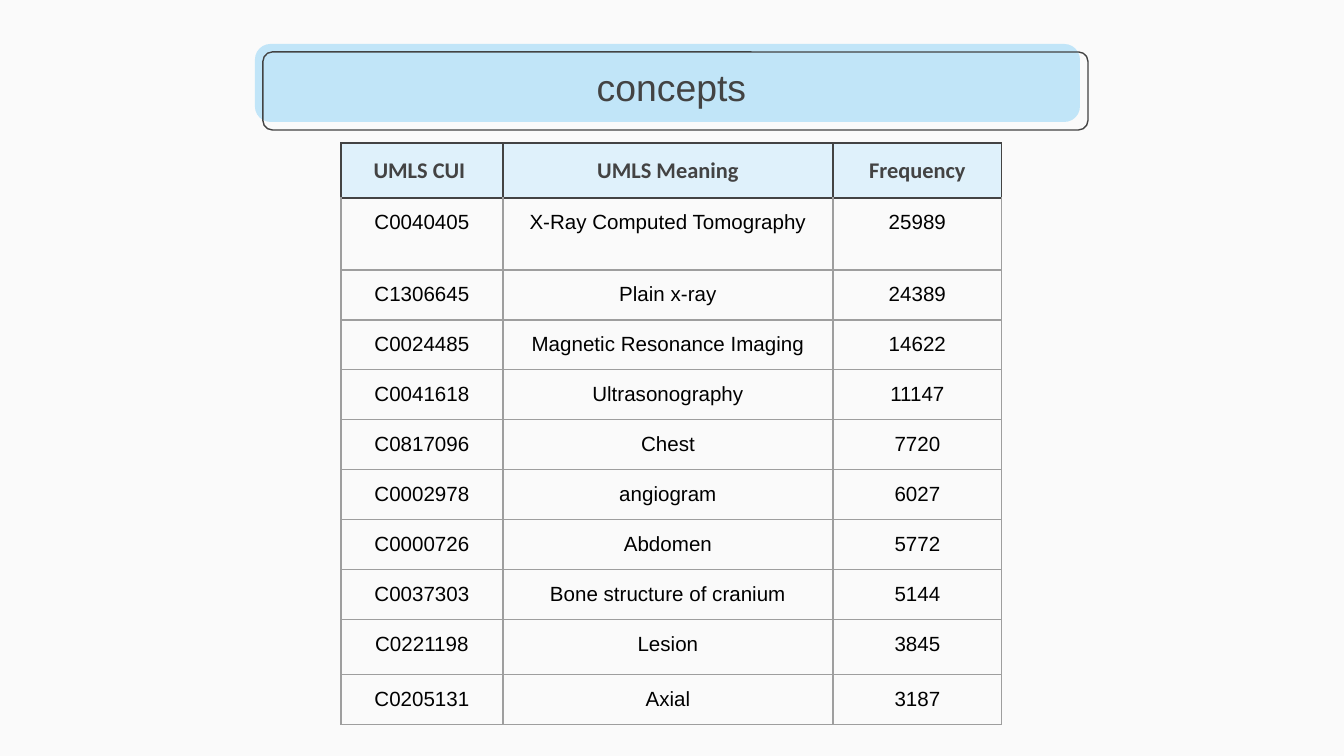
from dataclasses import dataclass

from lxml import etree
from pptx import Presentation
from pptx.dml.color import RGBColor
from pptx.enum.shapes import MSO_SHAPE
from pptx.enum.text import MSO_ANCHOR, MSO_AUTO_SIZE, PP_ALIGN
from pptx.oxml.ns import qn
from pptx.util import Emu, Pt

ROUNDED = MSO_SHAPE.ROUNDED_RECTANGLE
CENTER = PP_ALIGN.CENTER
MIDDLE, TOP = MSO_ANCHOR.MIDDLE, MSO_ANCHOR.TOP
NO_FIT = MSO_AUTO_SIZE.NONE
TITLE_ONLY = 5


@dataclass(frozen=True)
class Theme:
    page: str = "FAFAFA"
    band: str = "C1E5F8"
    header: str = "DFF1FB"
    dark: str = "434343"
    grid: str = "9E9E9E"
    body: str = "000000"
    font: str = "Arial"
    header_font: str = "Calibri"
    title_size: int = 20
    header_size: int = 12
    body_size: int = 11
    line: float = 0.75


THEME = Theme()
INSET = 13
HEADER_INSET = 7
COLUMNS = [162, 330, 169]
HEADER_HEIGHT, ROW_HEIGHT = 55, 50
TALL_ROWS = {1: 72, 9: 55}
CONCEPTS = [
    ("UMLS CUI ", "UMLS Meaning", "Frequency"),
    ("C0040405", "X-Ray Computed Tomography", "25989"),
    ("C1306645", "Plain x-ray", "24389"),
    ("C0024485", "Magnetic Resonance Imaging", "14622"),
    ("C0041618", "Ultrasonography", "11147"),
    ("C0817096", "Chest", "7720"),
    ("C0002978", "angiogram", "6027"),
    ("C0000726", "Abdomen", "5772"),
    ("C0037303", "Bone structure of cranium", "5144"),
    ("C0221198", "Lesion", "3845"),
    ("C0205131", "Axial", "3187"),
]


def px(count):
    return Emu(round(count * 914400 / 134.4))


def rgb(color):
    return RGBColor.from_string(color)


def set_text(frame, text, font, size, color, bold=False):
    para = frame.paragraphs[0]
    para.text = text
    para.alignment = CENTER
    for span in para.runs:
        span.font.name = font
        span.font.size = Pt(size)
        span.font.bold = bold
        span.font.color.rgb = rgb(color)


def set_insets(target, side, vertical=INSET):
    target.margin_left = target.margin_right = px(side)
    target.margin_top = target.margin_bottom = px(vertical)


def add_rounded_box(page, left, top, width, height, corner, fill=None, line=None):
    box = page.shapes.add_shape(ROUNDED, px(left), px(top), px(width), px(height))
    box.shadow.inherit = False
    box.adjustments[0] = corner
    if fill:
        box.fill.solid()
        box.fill.fore_color.rgb = rgb(fill)
    else:
        box.fill.background()
    if line:
        box.line.color.rgb = rgb(line)
        box.line.width = Pt(THEME.line)
    else:
        box.line.fill.background()


def place_title(page, text):
    """Fill the title placeholder and bring it in front of its boxes."""
    title = page.shapes.title
    title.left, title.top, title.width, title.height = px(263), px(48), px(817), px(78)
    frame = title.text_frame
    frame.auto_size = NO_FIT
    frame.word_wrap = True
    frame.vertical_anchor = MIDDLE
    set_insets(frame, INSET)
    set_text(frame, text, THEME.font, THEME.title_size, THEME.dark)
    title.element.getparent().append(title.element)


def set_borders(cell, top_color, color):
    properties = cell._tc.get_or_add_tcPr()
    for side in ("L", "R", "T", "B"):
        line = etree.SubElement(properties, qn(f"a:ln{side}"), w=str(Pt(THEME.line)))
        fill = etree.SubElement(line, qn("a:solidFill"))
        etree.SubElement(fill, qn("a:srgbClr"), val=top_color if side == "T" else color)


def format_header(cell, text):
    set_borders(cell, THEME.dark, THEME.dark)
    cell.fill.solid()
    cell.fill.fore_color.rgb = rgb(THEME.header)
    cell.vertical_anchor = MIDDLE
    set_insets(cell, HEADER_INSET)
    set_text(cell.text_frame, text, THEME.header_font, THEME.header_size, THEME.dark, True)


def format_body(cell, text, under_header):
    set_borders(cell, THEME.dark if under_header else THEME.grid, THEME.grid)
    cell.fill.background()
    cell.vertical_anchor = TOP
    set_insets(cell, INSET)
    set_text(cell.text_frame, text, THEME.font, THEME.body_size, THEME.body)


def add_concept_table(page, left, top):
    heights = [TALL_ROWS.get(row, ROW_HEIGHT) for row in range(len(CONCEPTS))]
    heights[0] = HEADER_HEIGHT
    table = page.shapes.add_table(
        len(CONCEPTS), len(COLUMNS), px(left), px(top), px(sum(COLUMNS)), px(sum(heights))
    ).table
    table.horz_banding = False
    for column, width in zip(table.columns, COLUMNS):
        column.width = px(width)
    for index, (row, height) in enumerate(zip(table.rows, heights)):
        row.height = px(height)
        for cell, text in zip(row.cells, CONCEPTS[index]):
            if index == 0:
                format_header(cell, text)
            else:
                format_body(cell, text, index == 1)


def main():
    deck = Presentation()
    deck.slide_width, deck.slide_height = px(1344), px(756)
    page = deck.slides.add_slide(deck.slide_layouts[TITLE_ONLY])
    page.background.fill.solid()
    page.background.fill.fore_color.rgb = rgb(THEME.page)
    add_rounded_box(page, 255, 44, 825, 78, 0.2, fill=THEME.band)
    add_rounded_box(page, 263, 52, 825, 78, 0.12, line=THEME.dark)
    place_title(page, "concepts")
    add_concept_table(page, 341, 143)
    deck.save("out.pptx")


if __name__ == "__main__":
    main()
